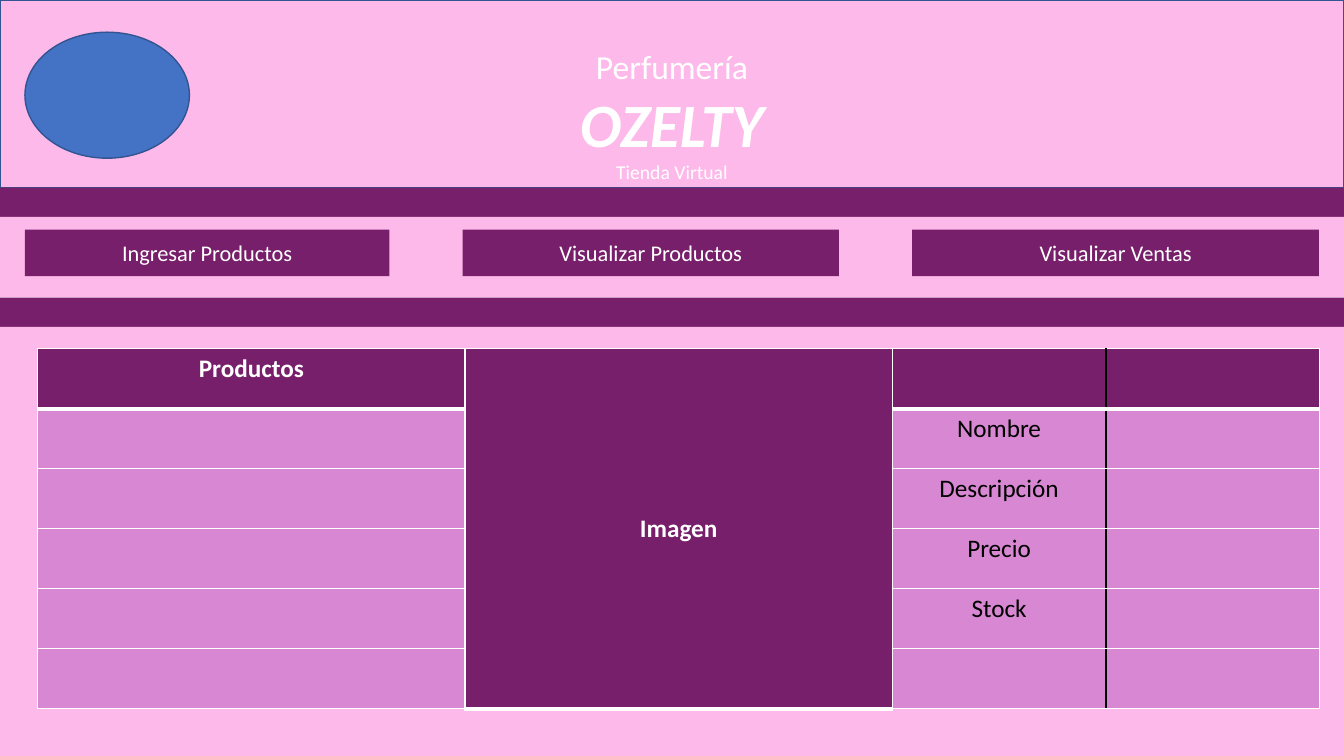
from typing import NamedTuple, Optional

from lxml.etree import SubElement
from pptx import Presentation
from pptx.dml.color import RGBColor
from pptx.enum.shapes import MSO_SHAPE as Kind
from pptx.enum.text import MSO_ANCHOR as Anchor, PP_ALIGN as Align
from pptx.oxml.ns import qn
from pptx.util import Pt

PINK = RGBColor(0xFD, 0xB9, 0xEA)
PLUM = RGBColor(0x77, 0x1F, 0x6A)
ORCHID = RGBColor(0xD8, 0x88, 0xD2)
BLUE = RGBColor(0x44, 0x72, 0xC4)
NAVY = RGBColor(0x32, 0x54, 0x91)
WHITE = RGBColor(0xFF, 0xFF, 0xFF)
BLACK = RGBColor(0, 0, 0)
FONT = "Calibri"
WIDTH, HEIGHT = 960, 540


class Line(NamedTuple):
    text: str
    size: float
    strong: bool = False


class Box(NamedTuple):
    left: float
    top: float
    width: float
    height: float
    fill: RGBColor
    edge: Optional[RGBColor] = None
    lines: tuple[Line, ...] = ()
    kind: Kind = Kind.RECTANGLE
    inset: float = 3.6


def style(para, size: float, color: RGBColor, bold: bool = False) -> None:
    para.alignment = Align.CENTER
    font = para.font
    font.name, font.size, font.bold = FONT, Pt(size), bold
    font.color.rgb = color


def draw_box(slide, box: Box) -> None:
    shape = slide.shapes.add_shape(
        box.kind, Pt(box.left), Pt(box.top), Pt(box.width), Pt(box.height))
    shape.shadow.inherit = False
    shape.fill.solid()
    shape.fill.fore_color.rgb = box.fill
    if box.edge is None:
        shape.line.fill.background()
    else:
        shape.line.color.rgb = box.edge
        shape.line.width = Pt(1)
    frame = shape.text_frame
    frame.word_wrap = True
    frame.vertical_anchor = Anchor.MIDDLE
    frame.margin_top = Pt(box.inset)
    for i, line in enumerate(box.lines):
        para = frame.add_paragraph() if i else frame.paragraphs[0]
        para.text = line.text
        style(para, line.size, WHITE, line.strong)
        para.font.italic = line.strong


def add_edge(cell, side: str, color: RGBColor, width: float) -> None:
    """Draw one cell border; side is L, R, T or B."""
    props = cell._tc.get_or_add_tcPr()
    edge = SubElement(props, qn(f"a:ln{side}"), w=str(Pt(width)))
    fill = SubElement(edge, qn("a:solidFill"))
    SubElement(fill, qn("a:srgbClr"), val=str(color))


def draw_table(slide) -> None:
    widths = (305.2, 305.2, 152.6, 152.6)
    fields = ("", "Nombre", "Descripción", "Precio", "Stock", "")
    step = 42.85
    count = len(fields)
    table = slide.shapes.add_table(
        count, len(widths), Pt(27), Pt(249.2),
        Pt(sum(widths)), Pt(step * count)).table
    for col, width in zip(table.columns, widths):
        col.width = Pt(width)
    for r, field in enumerate(fields):
        table.rows[r].height = Pt(step)
        labels = ("", "", field, "") if r else ("Productos", "Imagen", "", "")
        for c, label in enumerate(labels):
            cell = table.cell(r, c)
            head = r == 0 or c == 1
            add_edge(cell, "L", BLACK if c == 3 else WHITE, 1)
            add_edge(cell, "R", BLACK if c == 2 else WHITE, 1)
            add_edge(cell, "T", WHITE, 3 if r == 1 and c != 1 else 1)
            add_edge(cell, "B", WHITE, 3 if head else 1)
            cell.fill.solid()
            cell.fill.fore_color.rgb = PLUM if head else ORCHID
            cell.text = label
            style(cell.text_frame.paragraphs[0], 18,
                  WHITE if head else BLACK, head)
    photo = table.cell(0, 1)
    photo.merge(table.cell(count - 1, 1))
    photo.vertical_anchor = Anchor.MIDDLE


def main() -> None:
    deck = Presentation()
    deck.slide_width, deck.slide_height = Pt(WIDTH), Pt(HEIGHT)
    slide = deck.slides.add_slide(deck.slide_layouts[6])

    title = (Line("Perfumería", 24), Line("OZELTY", 44, True),
             Line("Tienda Virtual", 14))
    draw_box(slide, Box(0, 0, WIDTH, 134, PINK, NAVY, title, inset=32.9))
    bands = ((134, 21, PLUM), (155, 57.5, PINK),
             (212.5, 21, PLUM), (233.5, 306.5, PINK))
    for top, height, color in bands:
        draw_box(slide, Box(0, top, WIDTH, height, color))
    menu = ((17.8, 260.4, "Ingresar Productos"),
            (330.4, 268.8, "Visualizar Productos"),
            (651.6, 290.6, "Visualizar Ventas"))
    for left, width, text in menu:
        draw_box(slide, Box(left, 164, width, 33.2, PLUM,
                            lines=(Line(text, 16),)))
    draw_table(slide)
    draw_box(slide, Box(17.8, 23, 117.5, 90, BLUE, NAVY, kind=Kind.OVAL))
    deck.save("out.pptx")


if __name__ == "__main__":
    main()
